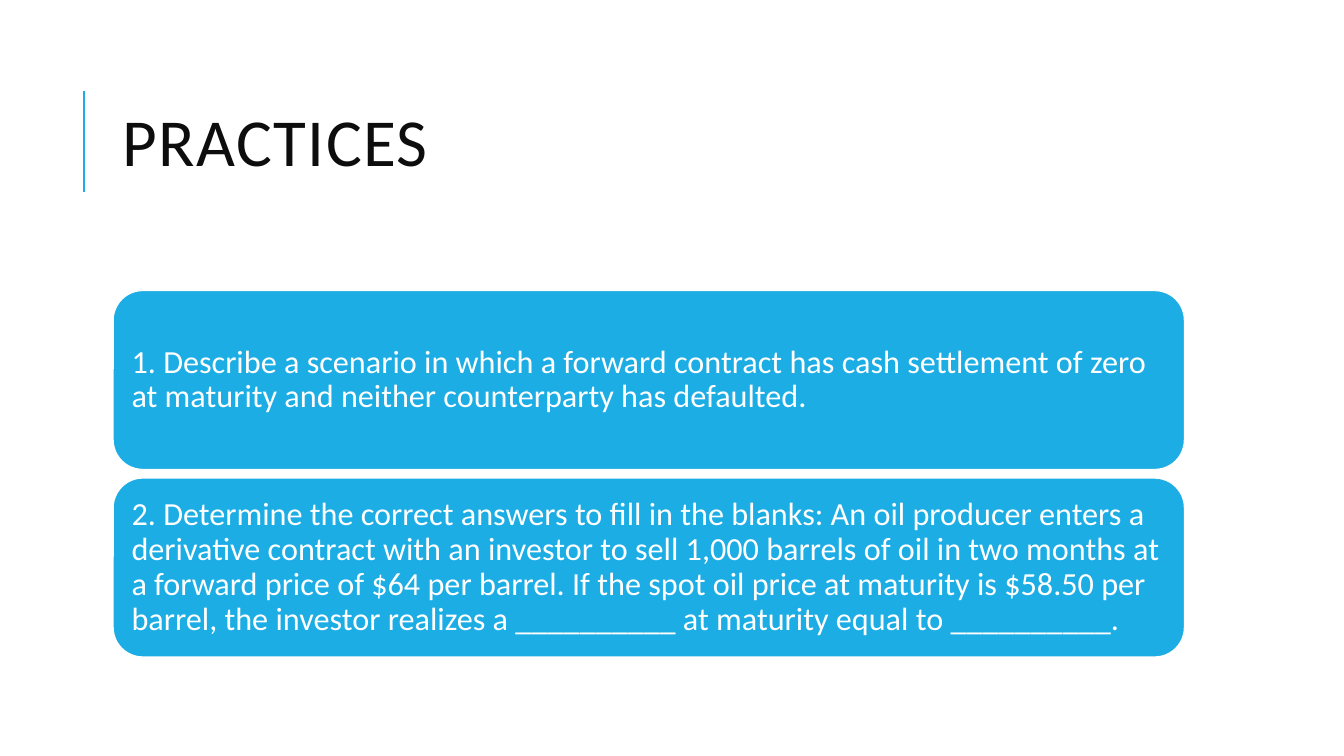
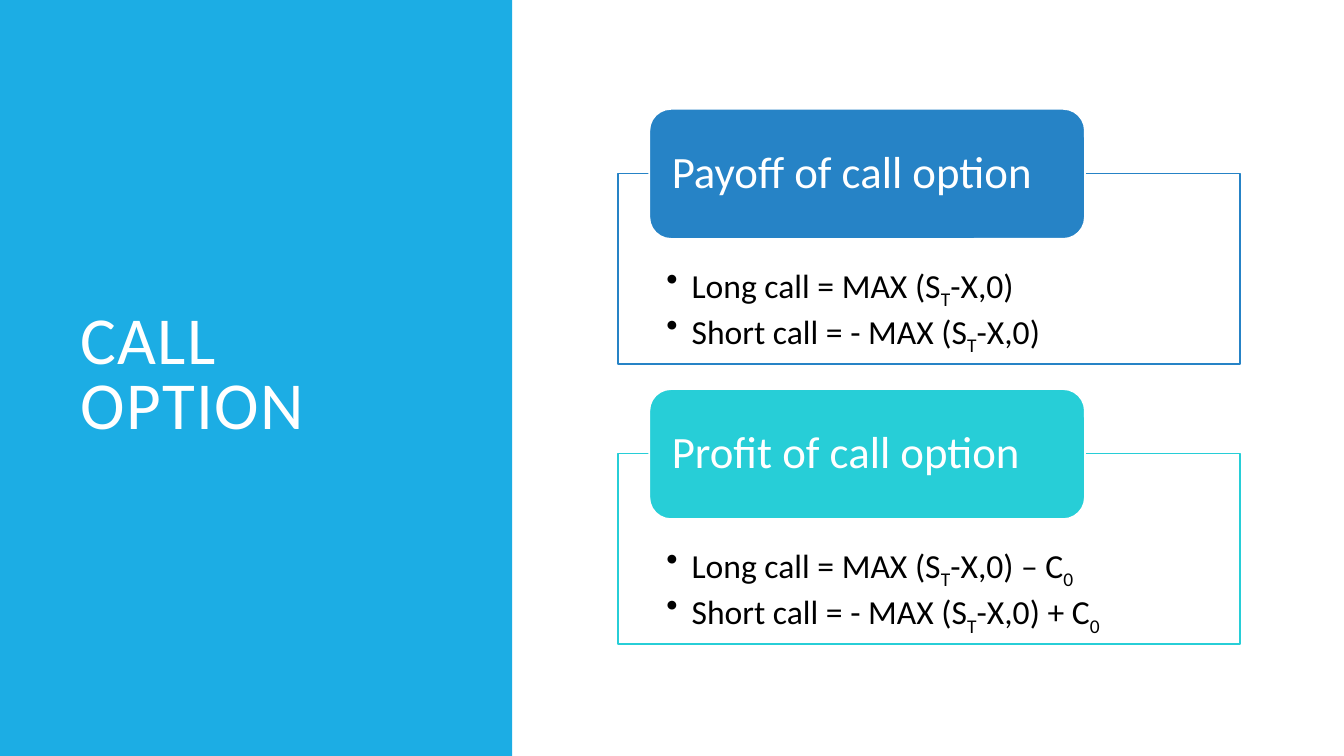
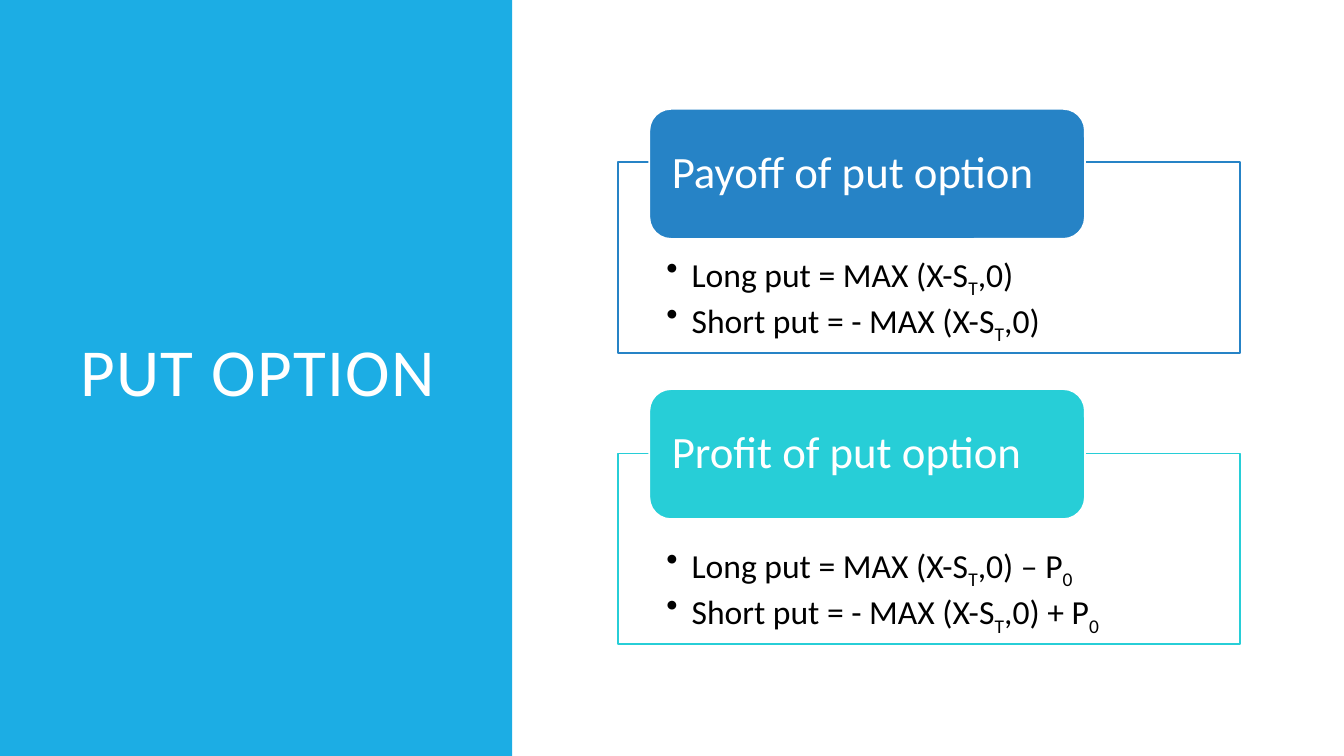
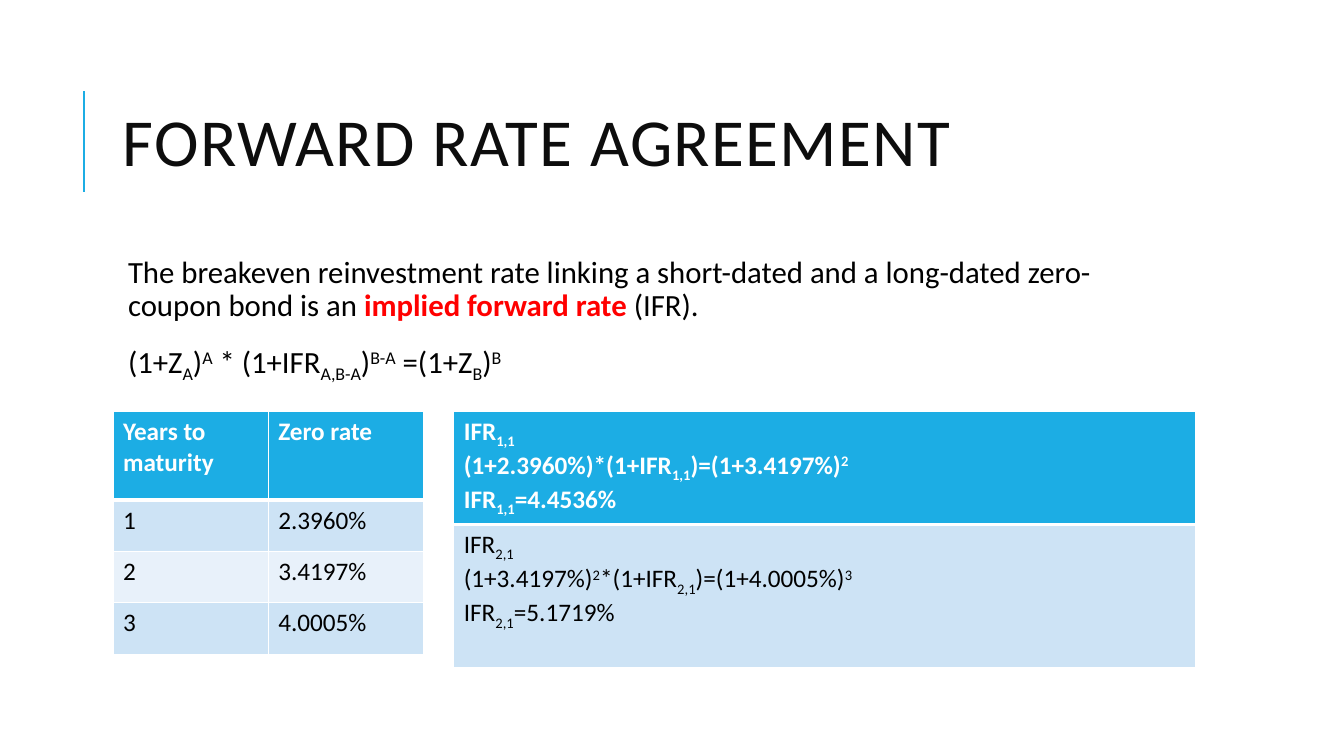
from dataclasses import dataclass
from typing import NamedTuple, Optional

from lxml import etree
from pptx import Presentation
from pptx.dml.color import RGBColor
from pptx.enum.shapes import MSO_CONNECTOR, MSO_SHAPE
from pptx.enum.text import MSO_ANCHOR, PP_ALIGN
from pptx.oxml.ns import qn
from pptx.util import Inches, Pt

RECT, ROUND_RECT = MSO_SHAPE.RECTANGLE, MSO_SHAPE.ROUNDED_RECTANGLE
STRAIGHT = MSO_CONNECTOR.STRAIGHT
TOP, MIDDLE = MSO_ANCHOR.TOP, MSO_ANCHOR.MIDDLE
LEFT = PP_ALIGN.LEFT


@dataclass(frozen=True)
class Theme:
    font: str = "Calibri"
    accent: str = "1CADE4"
    blue: str = "2683C6"
    teal: str = "27CED7"
    title: str = "0D0D0D"
    text: str = "000000"
    white: str = "FFFFFF"
    alert: str = "FF0000"
    band_dark: str = "CDE3F5"
    band_light: str = "E8F1FA"
    title_size: int = 48
    heading_size: int = 32
    formula_size: int = 24
    question_size: int = 23
    body_size: int = 22
    table_size: int = 18
    outline: float = 1.25


THEME = Theme()


class Box(NamedTuple):
    left: float
    top: float
    width: float
    height: float


class Run(NamedTuple):
    text: str
    baseline: int = 0
    color: Optional[str] = None
    bold: bool = False


Line = list[Run]


@dataclass(frozen=True)
class Style:
    size: int
    color: str = THEME.text
    bold: bool = False
    spacing: float = 1.0
    before: float = 0
    after: float = 0
    margin: float = 0
    bullet: bool = False
    tracking: int = 0


@dataclass(frozen=True)
class Panel:
    heading: str
    color: str
    lines: list[Line]
    drop: float = 0.64


TITLE = Style(THEME.title_size, THEME.title, spacing=0.8, tracking=100)
SIDE_TITLE = Style(THEME.title_size, THEME.white, spacing=0.8, tracking=100)
QUESTION = Style(THEME.question_size, THEME.white, spacing=0.9)
HEADING = Style(THEME.heading_size, THEME.white, spacing=0.9)
FORMULA = Style(THEME.formula_size, spacing=0.9, after=3.6, margin=0.25, bullet=True)
BODY = Style(THEME.body_size, spacing=0.9, before=12, after=2, margin=0.1)
HEAD_CELL = Style(THEME.table_size, THEME.white, bold=True)
CELL = Style(THEME.table_size)

TITLE_BOX = Box(1.12, 0.64, 10.63, 1.64)
DEFAULT_INSETS = (0.1, 0.05, 0.1, 0.05)


def rgb(color: str) -> RGBColor:
    return RGBColor.from_string(color)


def emu(box: Box) -> list[int]:
    return [Inches(v) for v in box]


def sub(text: str) -> Run:
    return Run(text, -25)


def sup(text: str) -> Run:
    return Run(text, 30)


def line(*parts: str | Run) -> Line:
    return [Run(part) if isinstance(part, str) else part for part in parts]


def write(tf, lines: list[Line], style: Style) -> None:
    for i, runs in enumerate(lines):
        p = tf.add_paragraph() if i else tf.paragraphs[0]
        p.alignment = LEFT
        p.line_spacing = style.spacing
        p.space_before = Pt(style.before if i else 0)
        p.space_after = Pt(style.after)
        pPr = p._p.get_or_add_pPr()
        pPr.set("marL", str(Inches(style.margin)))
        if style.bullet:
            pPr.set("indent", str(-Inches(style.margin)))
            etree.SubElement(pPr, qn("a:buChar")).set("char", "•")
        for run in runs:
            r = p.add_run()
            r.text = run.text
            r.font.name = THEME.font
            r.font.size = Pt(style.size)
            r.font.bold = style.bold or run.bold
            r.font.color.rgb = rgb(run.color or style.color)
            rPr = r._r.get_or_add_rPr()
            if run.baseline:
                rPr.set("baseline", str(run.baseline * 1000))
            if style.tracking:
                rPr.set("spc", str(style.tracking))


def set_frame(tf, anchor: MSO_ANCHOR, insets: tuple[float, ...]) -> None:
    tf.word_wrap = True
    tf.vertical_anchor = anchor
    tf.margin_left, tf.margin_top, tf.margin_right, tf.margin_bottom = map(Inches, insets)


def add_text(s, box: Box, lines: list[Line], style: Style, anchor: MSO_ANCHOR = MIDDLE,
             insets: tuple[float, ...] = DEFAULT_INSETS) -> None:
    tf = s.shapes.add_textbox(*emu(box)).text_frame
    set_frame(tf, anchor, insets)
    write(tf, lines, style)


def add_block(s, kind: MSO_SHAPE, box: Box, fill: str, outline: Optional[str] = None):
    sp = s.shapes.add_shape(kind, *emu(box))
    sp.shadow.inherit = False
    sp.fill.solid()
    sp.fill.fore_color.rgb = rgb(fill)
    if outline:
        sp.line.color.rgb = rgb(outline)
        sp.line.width = Pt(THEME.outline)
    else:
        sp.line.fill.background()
    return sp


def add_text_block(s, kind: MSO_SHAPE, box: Box, fill: str, outline: str, lines: list[Line],
                   style: Style, anchor: MSO_ANCHOR, insets: tuple[float, ...]) -> None:
    tf = add_block(s, kind, box, fill, outline).text_frame
    set_frame(tf, anchor, insets)
    write(tf, lines, style)


def new_slide(prs):
    return prs.slides.add_slide(prs.slide_layouts[6])


def titled_slide(prs, title: str):
    """Add a slide with a title beside a thin vertical rule."""
    s = new_slide(prs)
    x = Inches(0.83)
    rule = s.shapes.add_connector(STRAIGHT, x, Inches(1.9), x, Inches(0.9))
    rule.line.color.rgb = rgb(THEME.accent)
    rule.line.width = Pt(1.5)
    etree.SubElement(rule._element.spPr, qn("a:effectLst"))
    add_text(s, TITLE_BOX, [line(title)], TITLE)
    return s


def set_borders(cell, bottom: float) -> None:
    tcPr = cell._tc.get_or_add_tcPr()
    widths = {"a:lnL": 1, "a:lnR": 1, "a:lnT": 1, "a:lnB": bottom}
    for i, (tag, width) in enumerate(widths.items()):
        ln = etree.Element(qn(tag), w=str(Pt(width)))
        fill = etree.SubElement(ln, qn("a:solidFill"))
        etree.SubElement(fill, qn("a:srgbClr")).set("val", THEME.white)
        tcPr.insert(i, ln)


def add_grid(s, left: float, top: float, col_width: float, heights: list[float],
             rows: list[list[list[Line]]]) -> None:
    """Add a table with a header row and banded body rows."""
    cols = len(rows[0])
    box = Box(left, top, col_width * cols, sum(heights))
    table = s.shapes.add_table(len(rows), cols, *emu(box)).table
    for col in table.columns:
        col.width = Inches(col_width)
    for i, (height, row) in enumerate(zip(heights, rows)):
        table.rows[i].height = Inches(height)
        band = THEME.band_dark if i % 2 else THEME.band_light
        for j, lines in enumerate(row):
            cell = table.cell(i, j)
            cell.fill.solid()
            cell.fill.fore_color.rgb = rgb(band if i else THEME.accent)
            # A cell's top edge matches the bottom edge of the cell above it.
            set_borders(cell, 1 if i else 3)
            write(cell.text_frame, lines, CELL if i else HEAD_CELL)


def practices_slide(prs) -> None:
    s = titled_slide(prs, "PRACTICES")
    questions = [
        "1. Describe a scenario in which a forward contract has cash settlement of zero "
        "at maturity and neither counterparty has defaulted.",
        "2. Determine the correct answers to fill in the blanks: An oil producer enters a "
        "derivative contract with an investor to sell 1,000 barrels of oil in two months at "
        "a forward price of $64 per barrel. If the spot oil price at maturity is $58.50 per "
        "barrel, the investor realizes a __________ at maturity equal to __________.",
    ]
    for i, question in enumerate(questions):
        add_text_block(s, ROUND_RECT, Box(1.12, 2.88 + 1.86 * i, 10.63, 1.78), THEME.accent,
                       THEME.white, [line(question)], QUESTION, MIDDLE, (0.1,) * 4)


def option_slide(prs, name: str, spread: tuple[str | Run, ...], premium: str,
                 payoff_drop: float) -> None:
    """Add a slide with payoff and profit formulas; spread is what MAX compares with 0."""
    s = new_slide(prs)
    add_block(s, RECT, Box(0, 0, 5.08, 7.5), THEME.accent)
    add_text(s, Box(0.7, 0.7, 3.74, 6.09), [line(f"{name.upper()} OPTION")], SIDE_TITLE)

    def formula(start: str, *end: str | Run) -> Line:
        first, *middle, last = spread
        tail, *rest = end
        return line(f"{start} MAX ({first}", *middle, f"{last},0){tail}", *rest)

    long, short = f"Long {name} =", f"Short {name} = -"
    panels = [
        Panel(f"Payoff of {name} option", THEME.blue,
              [formula(long, ""), formula(short, "")], payoff_drop),
        Panel(f"Profit of {name} option", THEME.teal,
              [formula(long, f" – {premium}", sub("0")),
               formula(short, f" + {premium}", sub("0"))]),
    ]
    for i, panel in enumerate(panels):
        top = 1.08 + 2.78 * i
        add_text_block(s, RECT, Box(6.13, top + panel.drop, 6.17, 1.89), THEME.white,
                       panel.color, panel.lines, FORMULA, TOP, (0.48, 0.91, 0.48, 0.19))
        add_text_block(s, ROUND_RECT, Box(6.44, top, 4.32, 1.29), panel.color, THEME.white,
                       [line(panel.heading)], HEADING, MIDDLE, (0.16, 0, 0.16, 0))


def forward_rate_slide(prs) -> None:
    s = titled_slide(prs, "FORWARD RATE AGREEMENT")
    add_text(s, Box(1.12, 2.5, 10.63, 4.4), [
        line("The breakeven reinvestment rate linking a short-dated and a long-dated "
             "zero-coupon bond is an ",
             Run("implied forward rate ", color=THEME.alert, bold=True), "(IFR)."),
        line("(1+Z", sub("A"), ")", sup("A"), " * (1+IFR", sub("A,B-A"), ")", sup("B-A"),
             " =(1+Z", sub("B"), ")", sup("B")),
    ], BODY, TOP, (0.05,) * 4)

    zero_rates = [("Years to maturity", "Zero rate"),
                  ("1", "2.3960%"), ("2", "3.4197%"), ("3", "4.0005%")]
    add_grid(s, 1.12, 4.08, 1.54, [0.88, 0.51, 0.51, 0.51],
             [[[line(value)] for value in row] for row in zero_rates])

    one, two = sub("1,1"), sub("2,1")
    add_grid(s, 4.5, 4.08, 7.36, [1.12, 1.42], [
        [[line("IFR", one),
          line("(1+2.3960%)*(1+IFR", one, ")=(1+3.4197%)", sup("2")),
          line("IFR", one, "=4.4536%")]],
        [[line("IFR", two),
          line("(1+3.4197%)", sup("2"), "*(1+IFR", two, ")=(1+4.0005%)", sup("3")),
          line("IFR", two, "=5.1719%")]],
    ])


def main() -> None:
    prs = Presentation()
    prs.slide_width, prs.slide_height = Inches(13.33), Inches(7.5)
    practices_slide(prs)
    option_slide(prs, "call", ("S", sub("T"), "-X"), "C", 0.64)
    option_slide(prs, "put", ("X-S", sub("T"), ""), "P", 0.53)
    forward_rate_slide(prs)
    prs.save("out.pptx")


if __name__ == "__main__":
    main()
